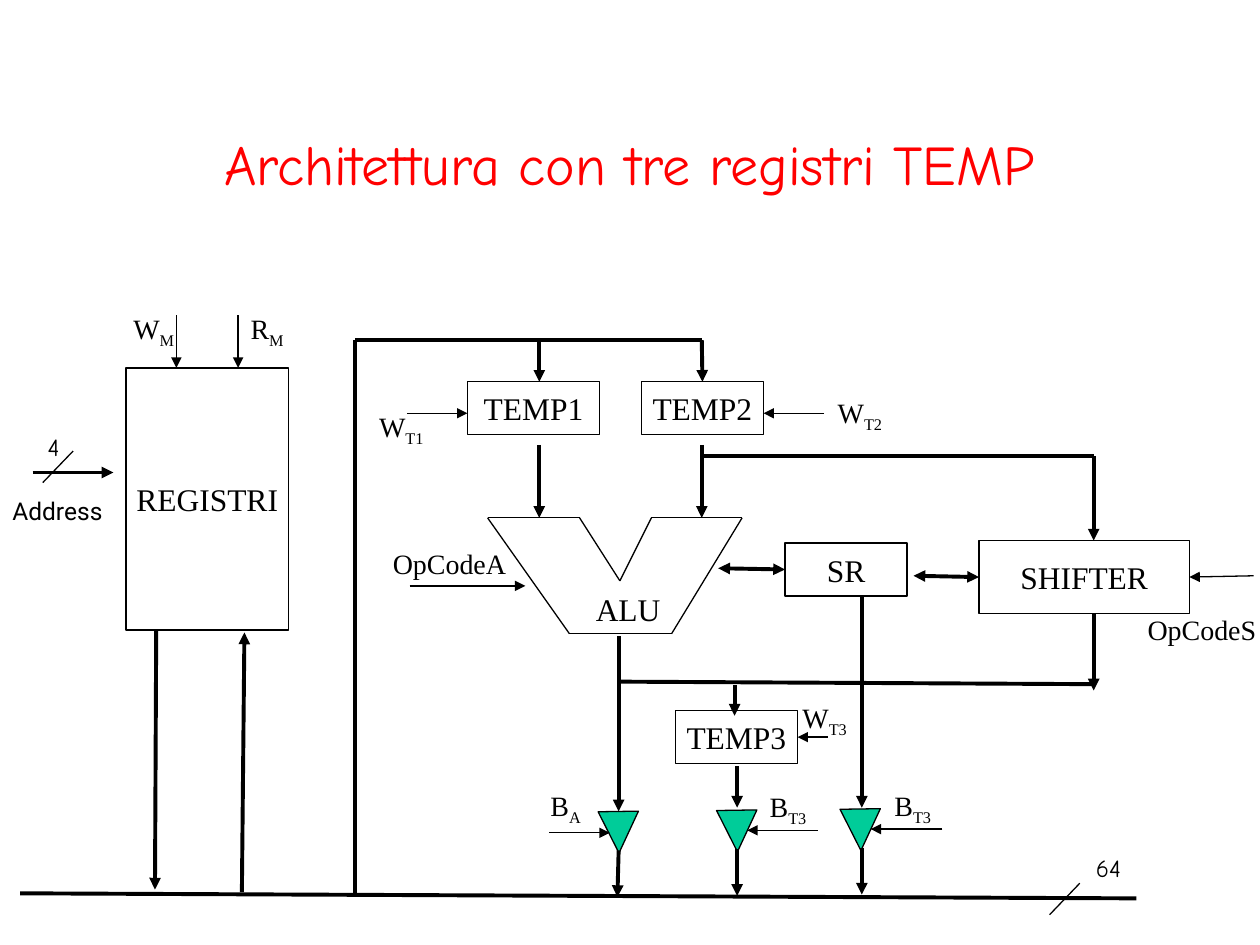
"""Draw the datapath with three TEMP registers."""
from typing import NamedTuple, Optional

from lxml import etree
from pptx import Presentation
from pptx import util as u
from pptx.dml import color as clr
from pptx.enum import shapes, text
from pptx.oxml import ns

BLACK, WHITE, RED, GREEN = "000000", "FFFFFF", "FF0000", "00CC99"
SERIF, HAND, SANS = "Times New Roman", "Comic Neue", "Roboto"
THIN, THICK = 0.75, 2.25


class Box(NamedTuple):
    name: str
    x: float
    y: float
    w: float
    h: float


class Label(NamedTuple):
    x: float
    y: float
    w: float
    h: float
    main: str
    sub: str = ""
    size: int = 16
    font: str = SERIF


class Wire(NamedTuple):
    x1: float
    y1: float
    x2: float
    y2: float
    width: float = THICK
    ends: str = "tail"
    start: Optional[tuple] = None
    stop: Optional[tuple] = None


BOXES = [
    Box("REGISTRI", 1, 2.92, 1.29, 2.08),
    Box("TEMP1", 3.71, 3.03, 1.05, 0.42),
    Box("TEMP2", 5.09, 3.03, 0.97, 0.42),
    Box("TEMP3", 5.36, 5.64, 0.97, 0.42),
    Box("SR", 6.23, 4.31, 0.97, 0.42),
    Box("SHIFTER", 7.77, 4.29, 1.67, 0.58),
]
ALU = [(3.87, 4.11), (4.6, 4.11), (4.92, 4.61), (5.17, 4.11),
       (5.89, 4.11), (5.33, 5.03), (4.52, 5.03)]
GATES = [(4.75, 6.44), (5.69, 6.43), (6.67, 6.42)]
WIRES = [
    Wire(0.16, 7.09, 9.02, 7.13, ends=""),
    Wire(2.82, 7.09, 2.82, 2.7, ends=""),
    Wire(2.82, 2.7, 5.57, 2.7, ends=""),
    Wire(4.28, 2.7, 4.28, 3.03),
    Wire(5.57, 2.7, 5.57, 3.03, stop=("TEMP2", 0)),
    Wire(4.28, 3.53, 4.28, 4.11),
    Wire(5.57, 3.53, 5.57, 4.11),
    Wire(5.57, 3.62, 8.68, 3.62, ends=""),
    Wire(8.68, 3.62, 8.68, 4.29),
    Wire(8.68, 4.87, 8.68, 5.48),
    Wire(4.91, 5.41, 8.68, 5.43, ends=""),
    Wire(4.91, 5.05, 4.91, 6.44),
    Wire(5.83, 5.44, 5.83, 5.68),
    Wire(5.85, 6.08, 5.85, 6.41),
    Wire(6.84, 4.73, 6.84, 6.41),
    Wire(4.91, 6.75, 4.9, 7.12),
    Wire(5.85, 6.74, 5.85, 7.11),
    Wire(6.84, 6.73, 6.84, 7.1),
    Wire(1.24, 5, 1.23, 7.06),
    Wire(1.92, 7.08, 1.94, 5.02),
    Wire(0.26, 3.75, 0.9, 3.75),
    Wire(5.7, 4.51, 6.23, 4.52, ends="head tail", stop=("SR", 1)),
    Wire(7.25, 4.57, 7.77, 4.58, ends="head tail", stop=("SHIFTER", 1)),
    Wire(1.4, 2.5, 1.4, 2.92, THIN),
    Wire(1.89, 2.5, 1.89, 2.92, THIN),
    Wire(3.23, 3.28, 3.71, 3.28, THIN),
    Wire(6.54, 3.28, 6.06, 3.28, THIN),
    Wire(3.25, 4.65, 4.17, 4.65, THIN),
    Wire(9.44, 4.58, 9.95, 4.57, THIN, "head", start=("SHIFTER", 3)),
    Wire(6.57, 5.85, 6.33, 5.85, THIN, stop=("TEMP3", 3)),
    Wire(4.36, 6.61, 4.84, 6.61, THIN),
    Wire(6.49, 6.59, 5.93, 6.59, THIN),
    Wire(7.48, 6.58, 6.91, 6.58, THIN),
    Wire(0.58, 3.58, 0.34, 3.83, THIN, ""),
    Wire(8.57, 7.01, 8.33, 7.26, THIN, ""),
]
LABELS = [
    Label(0.96, 2.42, 0.52, 0.41, "W", "M"),
    Label(1.89, 2.42, 0.46, 0.41, "R", "M"),
    Label(2.91, 3.2, 0.55, 0.41, "W", "T1"),
    Label(6.55, 3.09, 0.55, 0.41, "W", "T2"),
    Label(6.27, 5.51, 0.55, 0.41, "W", "T3"),
    Label(4.27, 6.21, 0.44, 0.41, "B", "A"),
    Label(6.01, 6.22, 0.49, 0.41, "B", "T3"),
    Label(7, 6.21, 0.49, 0.41, "B", "T3"),
    Label(3.02, 4.29, 1.1, 0.37, "OpCodeA"),
    Label(9.01, 4.81, 1.06, 0.37, "OpCodeS"),
    Label(4.63, 4.63, 0.75, 0.4, "ALU", size=18),
    Label(0.28, 3.38, 0.29, 0.34, "4", size=14, font=HAND),
    Label(8.6, 6.72, 0.4, 0.34, "64", size=14, font=HAND),
    Label(0, 3.89, 0.94, 0.34, "Address", size=14, font=SANS),
]


def paint(fmt, tone: str) -> None:
    fmt.solid()
    fmt.fore_color.rgb = clr.RGBColor.from_string(tone)


def style(para, size: int, font: str, tone: str = BLACK) -> None:
    for run in para.runs:
        run.font.size, run.font.name = u.Pt(size), font
        paint(run.font.fill, tone)


def form(slide, kind, x: float, y: float, w: float, h: float, tone: str):
    item = slide.shapes.add_shape(kind, *map(u.Inches, (x, y, w, h)))
    item.shadow.inherit = False
    paint(item.fill, tone)
    paint(item.line.fill, BLACK)
    item.line.width = u.Pt(THIN)
    return item


def draw_box(slide, box: Box):
    item = form(slide, shapes.MSO_SHAPE.RECTANGLE, *box[1:], WHITE)
    frame = item.text_frame
    frame.text = box.name
    frame.word_wrap = False
    frame.vertical_anchor = text.MSO_ANCHOR.MIDDLE
    frame.paragraphs[0].alignment = text.PP_ALIGN.CENTER
    style(frame.paragraphs[0], 18, SERIF)
    return item


def draw_gate(slide, x: float, y: float) -> None:
    item = form(slide, shapes.MSO_SHAPE.ISOSCELES_TRIANGLE, x, y, 0.32, 0.33, GREEN)
    item.rotation = 179.1


def draw_wire(slide, wire: Wire, boxes: dict) -> None:
    line = slide.shapes.add_connector(
        shapes.MSO_CONNECTOR.STRAIGHT, *map(u.Inches, wire[:4]))
    if wire.start:
        line.begin_connect(boxes[wire.start[0]], wire.start[1])
    if wire.stop:
        line.end_connect(boxes[wire.stop[0]], wire.stop[1])
    paint(line.line.fill, BLACK)
    line.line.width = u.Pt(wire.width)
    props = line._element.spPr
    for end in wire.ends.split():
        etree.SubElement(props.find(ns.qn("a:ln")), ns.qn(f"a:{end}End"), type="triangle")
    etree.SubElement(props, ns.qn("a:effectLst"))


def draw_label(slide, tag: Label) -> None:
    frame = slide.shapes.add_textbox(*map(u.Inches, tag[:4])).text_frame
    frame.word_wrap = False
    frame.auto_size = text.MSO_AUTO_SIZE.SHAPE_TO_FIT_TEXT
    para = frame.paragraphs[0]
    para.text = tag.main
    if tag.sub:
        run = para.add_run()
        run.text = tag.sub
        run._r.get_or_add_rPr().set("baseline", "-25000")
    style(para, tag.size, tag.font)


def draw_title(slide, words: str) -> None:
    frame = slide.shapes.add_textbox(*map(u.Inches, (0.75, 0.67, 8.5, 1.25))).text_frame
    frame.text = words
    frame.word_wrap = True
    frame.vertical_anchor = text.MSO_ANCHOR.MIDDLE
    frame.paragraphs[0].alignment = text.PP_ALIGN.CENTER
    style(frame.paragraphs[0], 32, HAND, RED)


def main() -> None:
    deck = Presentation()
    deck.slide_width, deck.slide_height = u.Inches(10), u.Inches(7.5)
    slide = deck.slides.add_slide(deck.slide_layouts[6])
    draw_title(slide, "Architettura con tre registri TEMP")
    boxes = {box.name: draw_box(slide, box) for box in BOXES}
    for x, y in GATES:
        draw_gate(slide, x, y)
    sides = [Wire(*a, *b, THIN, "") for a, b in zip(ALU, ALU[1:] + ALU[:1])]
    for wire in sides + WIRES:
        draw_wire(slide, wire, boxes)
    for tag in LABELS:
        draw_label(slide, tag)
    deck.save("out.pptx")


if __name__ == "__main__":
    main()
